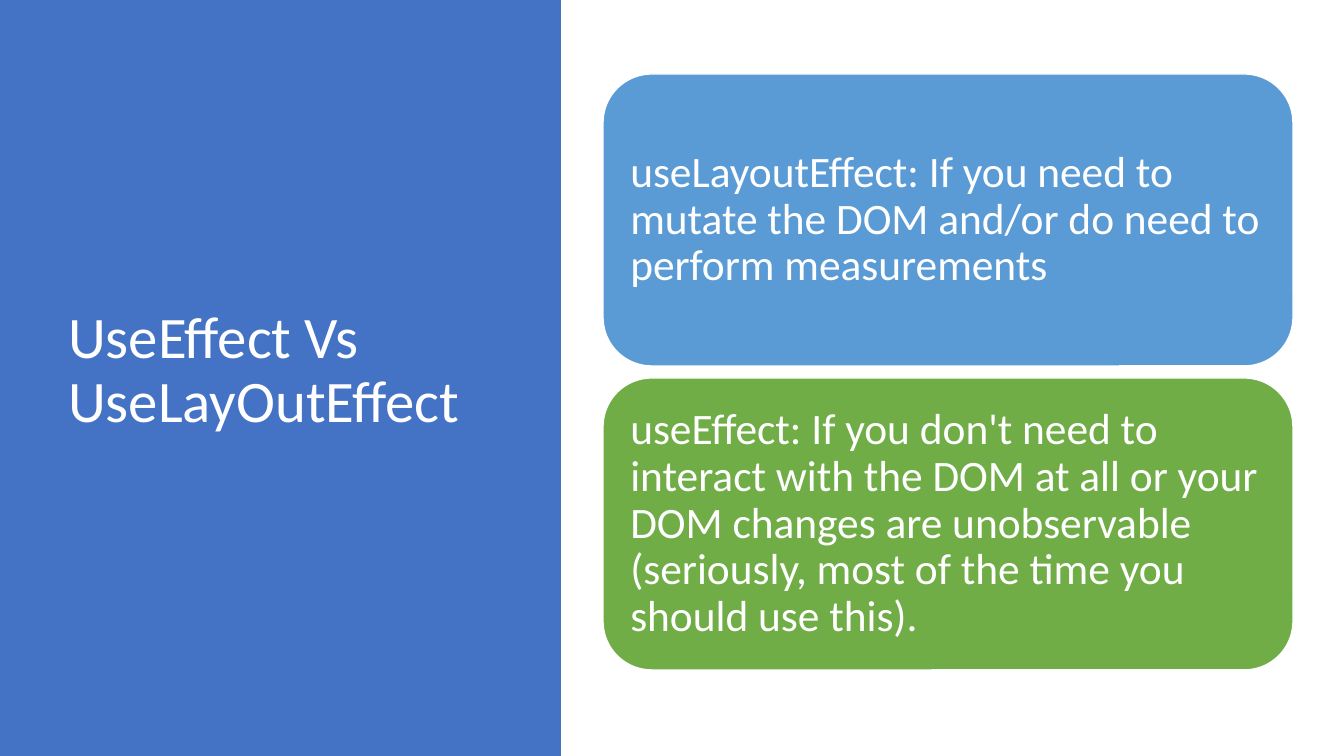
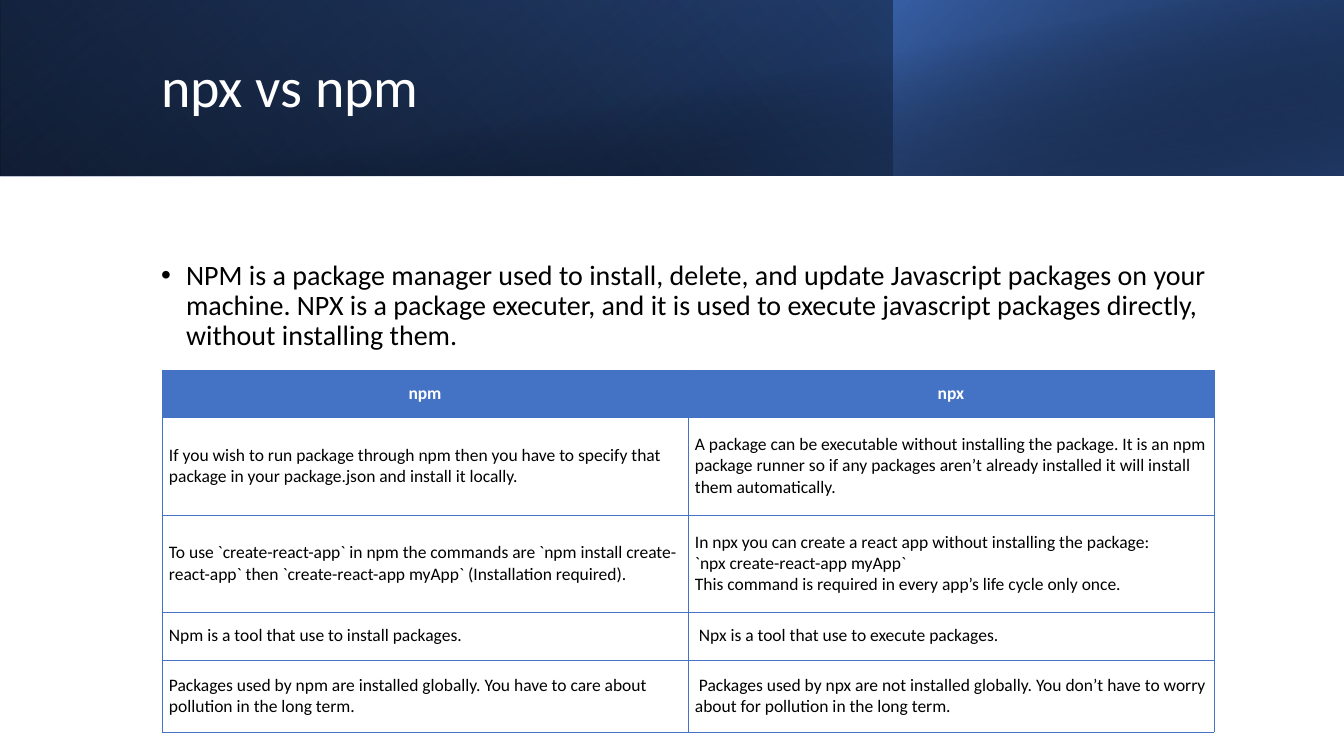
"""Build two slides on React effect hooks and on npm compared with npx."""
import pptx
import pptx.dml.color
import pptx.enum.shapes
import pptx.enum.text
import pptx.oxml
import pptx.oxml.ns
import pptx.util

PX = 914400 / 100.8
SLIDE_WIDTH, SLIDE_HEIGHT = 1344, 756
BAND_HEIGHT = 176
FONT = "Calibri"
COLOURS = {
    "white": "FFFFFF",
    "black": "000000",
    "blue": "4472C4",
    "sky": "5B9BD5",
    "green": "70AD47",
    "royal": "2F5597",
    "navy": "203864",
}
TITLE_ONLY, TITLE_AND_BODY = 5, 1
MIDDLE = pptx.enum.text.MSO_ANCHOR.MIDDLE
LEFT, CENTER = pptx.enum.text.PP_ALIGN.LEFT, pptx.enum.text.PP_ALIGN.CENTER

HOOK_CARDS = [
    ("sky", "useLayoutEffect: If you need to mutate the DOM and/or do need to "
            "perform measurements"),
    ("green", "useEffect: If you don't need to interact with the DOM at all or your "
              "DOM changes are unobservable (seriously, most of the time you should "
              "use this)."),
]
NPM_SUMMARY = (
    "NPM is a package manager used to install, delete, and update Javascript packages "
    "on your machine. NPX is a package executer, and it is used to execute javascript "
    "packages directly, without installing them."
)
NPM_ROWS = [
    ("npm", "npx"),
    ("If you wish to run package through npm then you have to specify that package in "
     "your package.json and install it locally.",
     "A package can be executable without installing the package. It is an npm package "
     "runner so if any packages aren’t already installed it will install them "
     "automatically."),
    ("To use `create-react-app` in npm the commands are `npm install create-react-app` "
     "then `create-react-app myApp` (Installation required).",
     "In npx you can create a react app without installing the package:\n"
     "`npx create-react-app myApp`\n"
     "This command is required in every app’s life cycle only once."),
    ("Npm is a tool that use to install packages.",
     " Npx is a tool that use to execute packages."),
    ("Packages used by npm are installed globally. You have to care about pollution in "
     "the long term.",
     " Packages used by npx are not installed globally. You don’t have to worry about "
     "for pollution in the long term."),
]
ROW_HEIGHTS = [47, 98, 97, 48, 72]


def px(length):
    """Turn pixels into EMU."""
    return pptx.util.Emu(round(length * PX))


def rgb(name):
    """Look up a named colour."""
    return pptx.dml.color.RGBColor.from_string(COLOURS[name])


def place(shape, left, top, width, height):
    """Move and size a shape in pixels."""
    shape.left, shape.top = px(left), px(top)
    shape.width, shape.height = px(width), px(height)


def write(text_frame, text, size, colour, align=LEFT, spacing=0.9, bold=False):
    """Fill a text frame and format its paragraphs and runs."""
    text_frame.text = text
    text_frame.word_wrap = True
    for paragraph in text_frame.paragraphs:
        paragraph.alignment = align
        paragraph.line_spacing = spacing
        for run in paragraph.runs:
            run.font.name = FONT
            run.font.size = pptx.util.Pt(size)
            run.font.bold = bold
            run.font.color.rgb = rgb(colour)


def add_title(slide, text, size, *box):
    """Place the white title in front of the shapes drawn so far."""
    title = slide.shapes.title
    place(title, *box)
    write(title.text_frame, text, size, "white")
    title.text_frame.vertical_anchor = MIDDLE
    title.text_frame.auto_size = pptx.enum.text.MSO_AUTO_SIZE.NONE
    slide.shapes.element.append(title.element)


def add_body(slide, text, size, *box):
    """Place a bulleted paragraph in the body placeholder."""
    body = slide.placeholders[1]
    place(body, *box)
    write(body.text_frame, text, size, "black")
    body.text_frame.auto_size = pptx.enum.text.MSO_AUTO_SIZE.NONE
    paragraph = body.text_frame.paragraphs[0]
    paragraph.space_before = pptx.util.Pt(10)
    properties = paragraph._p.get_or_add_pPr()
    properties.set("marL", str(px(25)))
    properties.set("indent", str(px(-25)))


def add_block(slide, kind, *box):
    """Add a preset shape without outline or shadow."""
    shape = slide.shapes.add_shape(kind, *map(px, box))
    shape.shadow.inherit = False
    shape.line.fill.background()
    return shape


def add_panel(slide, colour, *box):
    """Add a plain rectangle."""
    panel = add_block(slide, pptx.enum.shapes.MSO_SHAPE.RECTANGLE, *box)
    panel.fill.solid()
    panel.fill.fore_color.rgb = rgb(colour)


def add_card(slide, colour, text, *box):
    """Add a rounded card with white text."""
    card = add_block(slide, pptx.enum.shapes.MSO_SHAPE.ROUNDED_RECTANGLE, *box)
    card.fill.solid()
    card.fill.fore_color.rgb = rgb(colour)
    card.line.color.rgb = rgb("white")
    card.line.width = pptx.util.Pt(1)
    frame = card.text_frame
    write(frame, text, 31, "white")
    frame.vertical_anchor = MIDDLE
    frame.margin_left = frame.margin_right = px(13)
    frame.margin_top = frame.margin_bottom = px(13)


def add_gradient(slide, box, angle, stops, flip=True, rotation=0):
    """Add a rectangle with a gradient of (percent, colour, opacity) stops."""
    shape = add_block(slide, pptx.enum.shapes.MSO_SHAPE.RECTANGLE, *box)
    shape.rotation = rotation
    if flip:
        shape.element.spPr.find(pptx.oxml.ns.qn("a:xfrm")).set("flipH", "1")
    shape.fill.gradient()
    shape.fill.gradient_angle = angle
    for stop, (percent, colour, _) in zip(shape.fill.gradient_stops, stops):
        stop.position = percent / 100
        stop.color.rgb = rgb(colour)
    gradient = shape.element.spPr.find(pptx.oxml.ns.qn("a:gradFill"))
    for colour_node, (_, _, opacity) in zip(
            gradient.iter(pptx.oxml.ns.qn("a:srgbClr")), stops):
        alpha = pptx.oxml.parse_xml(
            f'<a:alpha {pptx.oxml.ns.nsdecls("a")} val="{opacity * 1000}"/>')
        colour_node.append(alpha)


def add_borders(cell, colour):
    """Draw a half-point line on each side of a cell."""
    properties = cell._tc.get_or_add_tcPr()
    for index, side in enumerate(("lnL", "lnR", "lnT", "lnB")):
        line = pptx.oxml.parse_xml(
            f'<a:{side} {pptx.oxml.ns.nsdecls("a")} w="6350"><a:solidFill>'
            f'<a:srgbClr val="{COLOURS[colour]}"/></a:solidFill></a:{side}>')
        properties.insert(index, line)


def add_comparison(slide, rows, heights, left, top, width):
    """Add a bordered table with a blue header row."""
    columns = len(rows[0])
    table = slide.shapes.add_table(
        len(rows), columns, px(left), px(top), px(width), px(sum(heights))).table
    for column in table.columns:
        column.width = px(width / columns)
    for row_index, (texts, height) in enumerate(zip(rows, heights)):
        table.rows[row_index].height = px(height)
        header = row_index == 0
        for column_index, text in enumerate(texts):
            cell = table.cell(row_index, column_index)
            write(cell.text_frame, text, 12.5, "white" if header else "black",
                  CENTER if header else LEFT, 1.0, header)
            cell.vertical_anchor = MIDDLE
            cell.margin_left = cell.margin_right = px(7)
            cell.margin_top = cell.margin_bottom = px(10)
            cell.fill.solid()
            cell.fill.fore_color.rgb = rgb("blue" if header else "white")
            add_borders(cell, "blue")


def add_gradient_band(slide):
    """Layer the gradients of the dark header band."""
    add_gradient(slide, (0, 0, SLIDE_WIDTH, BAND_HEIGHT), 140,
                 [(0, "black", 100), (100, "royal", 100)])
    add_gradient(slide, (0, 0, 894, BAND_HEIGHT), 230,
                 [(20, "blue", 0), (100, "navy", 55)], rotation=180)
    add_gradient(slide, (894, 0, SLIDE_WIDTH - 894, BAND_HEIGHT), 220,
                 [(0, "blue", 66), (100, "black", 30)])
    add_gradient(slide, (50, 0, SLIDE_WIDTH - 50, BAND_HEIGHT), 280,
                 [(50, "black", 0), (99, "navy", 52)], flip=False)


def build_hooks_slide(presentation):
    """Build the slide that compares the two effect hooks."""
    slide = presentation.slides.add_slide(presentation.slide_layouts[TITLE_ONLY])
    add_panel(slide, "blue", 0, 0, 561, SLIDE_HEIGHT)
    add_title(slide, "UseEffect Vs UseLayOutEffect", 42, 58, 68, 419, 607)
    card_height, gap = 292, 12
    for index, (colour, text) in enumerate(HOOK_CARDS):
        top = 74 + index * (card_height + gap)
        add_card(slide, colour, text, 603, top, 690, card_height)


def build_npm_slide(presentation):
    """Build the slide that compares npx and npm."""
    slide = presentation.slides.add_slide(presentation.slide_layouts[TITLE_AND_BODY])
    add_gradient_band(slide)
    add_title(slide, "npx vs npm", 40, 151, 32, 1091, 114)
    add_body(slide, NPM_SUMMARY, 20, 151, 256, 1072, 406)
    add_comparison(slide, NPM_ROWS, ROW_HEIGHTS, 162, 370, 1052)


def main():
    """Build and save the presentation."""
    presentation = pptx.Presentation()
    presentation.slide_width = px(SLIDE_WIDTH)
    presentation.slide_height = px(SLIDE_HEIGHT)
    build_hooks_slide(presentation)
    build_npm_slide(presentation)
    presentation.save("out.pptx")


if __name__ == "__main__":
    main()
